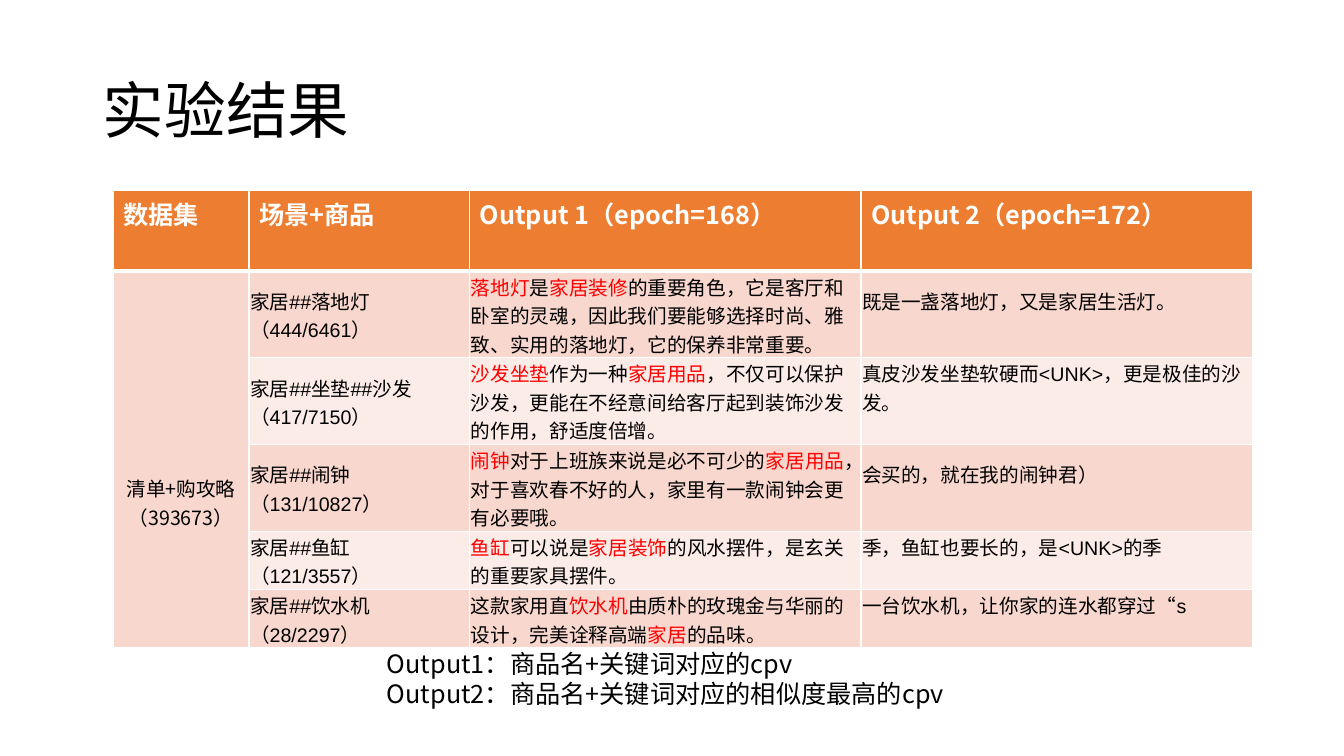
from dataclasses import dataclass

from lxml import etree
from pptx import Presentation, util as u
from pptx.dml.color import RGBColor
from pptx.enum import text as t
from pptx.oxml.ns import qn


@dataclass(frozen=True)
class Theme:
    head: str = "ED7D31"
    bands: tuple = ("F8D7CE", "FCECE8")
    ink: str = "000000"
    mark: str = "FF0000"
    white: str = "FFFFFF"
    sans: str = "Noto Sans CJK SC"
    latin: str = "Arial"
    title: int = 44
    body: int = 18
    cell: int = 14


TH = Theme()
WIDE, HIGH = 13.33, 7.5
COLS = (1.35, 2.19, 3.88, 3.88)
ROWS = (0.8, 0.82, 0.82, 0.82, 0.55, 0.55)
LINE = 0.28  # height of one line of cell text

HEADS = ("数据集", "场景+商品", "Output 1（epoch=168）", "Output 2（epoch=172）")
GROUP = "清单+购攻略（393673）"
# Words between asterisks are highlighted.
RESULTS = (
    ("家居##落地灯（444/6461）",
     "*落地灯*是*家居装修*的重要角色，它是客厅和卧室的灵魂，因此我们要能够选择时尚、雅致、实用的落地灯，它的保养非常重要。",
     "既是一盏落地灯，又是家居生活灯。"),
    ("家居##坐垫##沙发（417/7150）",
     "*沙发坐垫*作为一种*家居用品*，不仅可以保护沙发，更能在不经意间给客厅起到装饰沙发的作用，舒适度倍增。",
     "真皮沙发坐垫软硬而<UNK>，更是极佳的沙发。"),
    ("家居##闹钟（131/10827）",
     "*闹钟*对于上班族来说是必不可少的*家居用品*，对于喜欢春不好的人，家里有一款闹钟会更有必要哦。",
     "会买的，就在我的闹钟君）"),
    ("家居##鱼缸（121/3557）",
     "*鱼缸*可以说是*家居装饰*的风水摆件，是玄关的重要家具摆件。",
     "季，鱼缸也要长的，是<UNK>的季"),
    ("家居##饮水机（28/2297）",
     "这款家用直*饮水机*由质朴的玫瑰金与华丽的设计，完美诠释高端*家居*的品味。",
     "一台饮水机，让你家的连水都穿过“s"),
)
NOTES = ("Output1：商品名+关键词对应的cpv", "Output2：商品名+关键词对应的相似度最高的cpv")


def write(frame, *lines, size=TH.body, color=TH.ink, font=TH.sans, bold=False,
          align=t.PP_ALIGN.LEFT, space=None):
    """Write one paragraph per line, with marked words highlighted."""
    frame.word_wrap = True
    for i, line in enumerate(lines):
        para = frame.add_paragraph() if i else frame.paragraphs[0]
        para.alignment, para.line_spacing = align, space
        for j, part in enumerate(line.split("*")):
            if not part:
                continue
            run = para.add_run()
            run.text = part
            face = run.font
            face.size, face.bold, face.name = u.Pt(size), bold, font
            face.color.rgb = RGBColor.from_string(TH.mark if j % 2 else color)
            east = etree.SubElement(run._r.get_or_add_rPr(), qn("a:ea"))
            east.set("typeface", TH.sans)


def paint(cell, fill, top=1, low=1):
    """Fill a cell and draw its white borders, widths in points."""
    cell.fill.solid()
    cell.fill.fore_color.rgb = RGBColor.from_string(fill)
    props = cell._tc.get_or_add_tcPr()
    edges = (("L", 1), ("R", 1), ("T", top), ("B", low))
    for i, (side, wide) in enumerate(edges):
        line = etree.Element(qn("a:ln" + side), w=str(u.Pt(wide)))
        solid = etree.SubElement(line, qn("a:solidFill"))
        etree.SubElement(solid, qn("a:srgbClr"), val=TH.white)
        props.insert(i, line)


def inset(cell, left, top, right, low):
    cell.margin_left, cell.margin_top = u.Inches(left), u.Inches(top)
    cell.margin_right, cell.margin_bottom = u.Inches(right), u.Inches(low)


def add_title(slide, box):
    head = slide.shapes.title
    head.left, head.top, head.width, head.height = box
    head.text_frame.vertical_anchor = t.MSO_ANCHOR.MIDDLE
    write(head.text_frame, "实验结果", size=TH.title, space=0.9)


def add_results(slide, box):
    grid = slide.shapes.add_table(len(ROWS), len(COLS), *box).table
    for col, share in zip(grid.columns, COLS):
        col.width = int(box[2] * share / sum(COLS))
    for row, share in zip(grid.rows, ROWS):
        row.height = int(box[3] * share / sum(ROWS))

    for c, name in enumerate(HEADS):
        cell = grid.cell(0, c)
        paint(cell, TH.head, low=3)
        write(cell.text_frame, name, color=TH.white, bold=True)

    for r, texts in enumerate(RESULTS, 1):
        top = 3 if r == 1 else 1
        paint(grid.cell(r, 0), TH.bands[0], top=top)
        for c, words in enumerate(texts, 1):
            cell = grid.cell(r, c)
            paint(cell, TH.bands[(r - 1) % 2], top=top)
            inset(cell, 0.01, 0.01, 0.01, LINE if c == 3 else 0)
            cell.vertical_anchor = t.MSO_ANCHOR.MIDDLE
            write(cell.text_frame, words, size=TH.cell, font=TH.latin)

    group = grid.cell(1, 0)
    group.merge(grid.cell(len(RESULTS), 0))
    inset(group, 0.1, 0.05 + 7 * LINE, 0.1, 0.05)
    write(group.text_frame, GROUP, size=TH.cell, align=t.PP_ALIGN.CENTER)


def add_notes(slide, box):
    write(slide.shapes.add_textbox(*box).text_frame, *NOTES)


def main():
    deck = Presentation()
    deck.slide_width, deck.slide_height = u.Inches(WIDE), u.Inches(HIGH)
    slide = deck.slides.add_slide(deck.slide_layouts[5])

    def area(*sides):
        return tuple(u.Inches(side) for side in sides)

    add_title(slide, area(0.92, 0.4, 11.5, 1.45))
    add_results(slide, area(1.12, 1.89, sum(COLS), sum(ROWS)))
    add_notes(slide, area(3.74, 6.38, 5.84, 1.01))
    deck.save("out.pptx")


if __name__ == "__main__":
    main()
